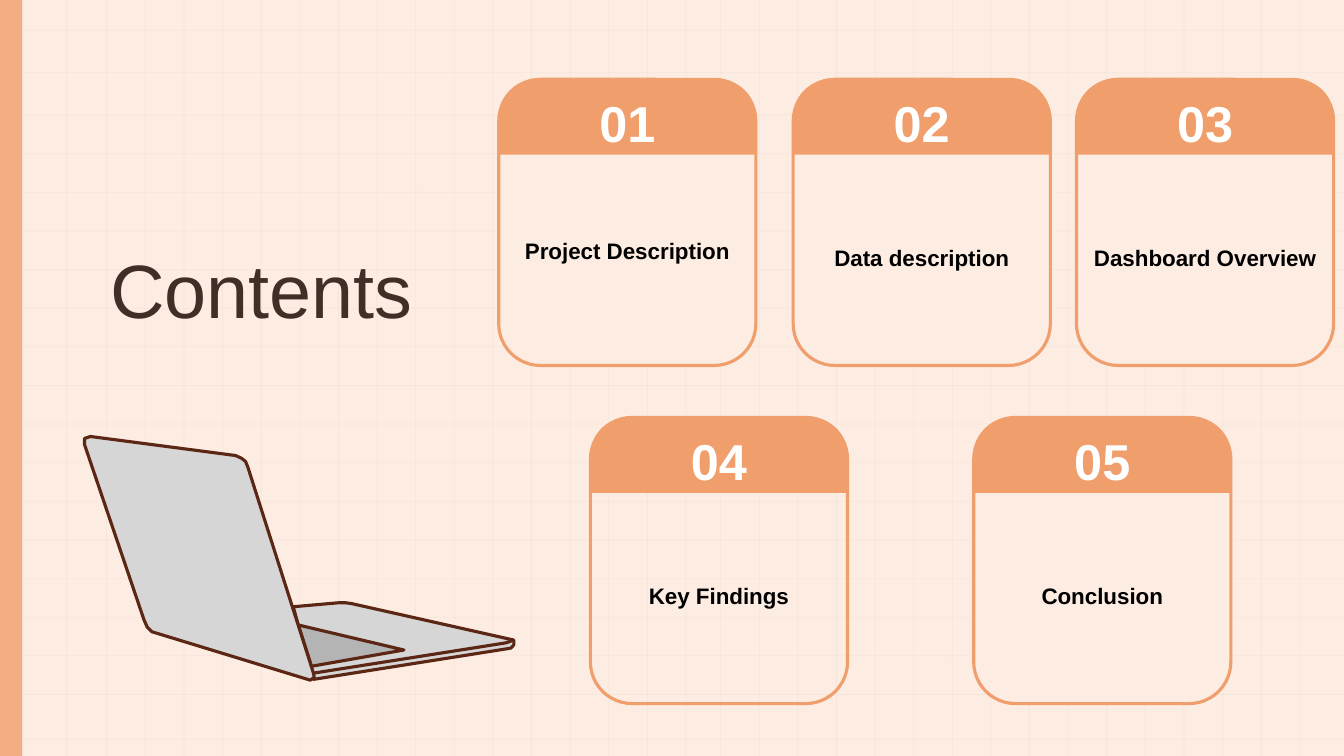
from lxml import etree
from pptx import Presentation
from pptx import util as u
from pptx.dml.color import RGBColor
from pptx.enum import shapes, text
from pptx.oxml.ns import qn

WIDE, HIGH = 33.87, 19.05
CREAM, PEACH, BROWN = "FCECE2", "F09E6B", "5B2714"


def tint(hue):
    return RGBColor.from_string(hue)


def fade(item, share):
    for tone in item._element.spPr.iter(qn("a:srgbClr")):
        etree.SubElement(tone, qn("a:alpha"), val=str(share * 1000))


def paint(item, fill=None, edge=None, width=2.25):
    item.shadow.inherit = False
    if fill:
        item.fill.solid()
        item.fill.fore_color.rgb = tint(fill)
    else:
        item.fill.background()
    if edge:
        item.line.color.rgb = tint(edge)
        item.line.width = u.Pt(width)
    else:
        item.line.fill.background()


def add_block(slide, kind, box, **look):
    item = slide.shapes.add_shape(kind, *map(u.Cm, box))
    paint(item, **look)
    return item


def write(item, words, size, hue, bold=True, inset=0, wrap=True):
    frame = item.text_frame
    frame.word_wrap = wrap
    frame.vertical_anchor = text.MSO_ANCHOR.MIDDLE
    frame.margin_left = frame.margin_right = u.Cm(inset)
    frame.margin_top = frame.margin_bottom = u.Cm(inset / 2)
    para = frame.paragraphs[0]
    para.alignment = text.PP_ALIGN.CENTER
    run = para.add_run()
    run.text = words
    run.font.name, run.font.size, run.font.bold = "Arial", u.Pt(size), bold
    run.font.color.rgb = tint(hue)


def add_text(slide, box, *args, **look):
    write(slide.shapes.add_textbox(*map(u.Cm, box)), *args, **look)


# Backdrop: cream page, faint grid, band on the left
def draw_grid(slide, box):
    left, top, wide, high = box

    def series(start):
        return [start + 14.6 / 15 * i for i in range(16)]

    cols = [1.68, *series(2.69), *series(18.16)]
    rows = [0.76, 1.83, *series(2.9), 18.62]
    ends = [(left + x, top, left + x, top + high) for x in cols]
    ends += [(left, top + y, left + wide, top + y) for y in rows]
    for end in ends:
        rule = slide.shapes.add_connector(
            shapes.MSO_CONNECTOR.STRAIGHT, *map(u.Cm, end))
        rule.line.color.rgb = tint("A47B65")
        rule.line.width = u.Pt(0.5)
        fade(rule, 5)
        etree.SubElement(rule._element.spPr, qn("a:effectLst"))


def draw_back(slide, box):
    left, top, wide, high = box
    slide.background.fill.solid()
    slide.background.fill.fore_color.rgb = tint(CREAM)
    draw_grid(slide, box)
    band = add_block(slide, shapes.MSO_SHAPE.RECTANGLE,
                     (left, top, 0.56, high), fill=PEACH)
    fade(band, 80)


# Laptop: base, front edge, touch pad and lid, from back to front
def draw_laptop(slide, box):
    left, top = box[:2]
    base = [(5.31, 4.32), (6.45, 4.22), (6.63, 4.22), (6.78, 4.24),
            (10.87, 5.16), (10.87, 5.28), (10.8, 5.36), (10.69, 5.38),
            (5.82, 6.15)]
    front = [(5.84, 5.99), (10.67, 5.23), (10.87, 5.16)]
    pad = [(5.44, 4.78), (8.1, 5.41), (5.77, 5.82)]
    lid = [(0.2, 0.03), (3.86, 0.51), (4.01, 0.58), (4.11, 0.66),
           (4.17, 0.81), (5.82, 5.99), (5.84, 6.1), (5.74, 6.17),
           (1.75, 4.95), (1.63, 4.83), (1.55, 4.65), (0.05, 0.23),
           (0.05, 0.08)]
    parts = [(base, "D6D6D6"), (front, None), (pad, "B4B4B4"), (lid, "D6D6D6")]
    for spots, fill in parts:
        spots = [(u.Cm(left + x), u.Cm(top + y)) for x, y in spots]
        pen = slide.shapes.build_freeform(*spots[0])
        pen.add_line_segments(spots[1:], close=fill is not None)
        paint(pen.convert_to_shape(), fill, BROWN)


# Card: round frame, numbered head, label below
def draw_card(slide, box, mark, label, fill=CREAM, lift=0):
    left, top, wide, high = box
    head = 1.9
    frame = add_block(slide, shapes.MSO_SHAPE.ROUNDED_RECTANGLE, box,
                      fill=fill, edge=PEACH)
    frame.adjustments[0] = 0.162
    cap = add_block(slide, shapes.MSO_SHAPE.ROUND_2_SAME_RECTANGLE,
                    (left, top, wide, head), fill=PEACH)
    cap.adjustments[0] = 0.5
    write(cap, mark, 36, "FFFFFF", wrap=False)
    add_text(slide, (left, top + head + 0.03 - lift, wide, 5.13),
             label, 16, "000000")


def draw_cards(slide, box):
    left, top = box[:2]
    low = 8.52
    cards = [
        (0, 0, "Project Description", {"lift": 0.18}),
        (7.42, 0, "Data description", {}),
        (14.56, 0, "Dashboard Overview", {}),
        (2.31, low, "Key Findings", {"fill": None}),
        (11.97, low, "Conclusion", {}),
    ]
    for num, (x, y, label, look) in enumerate(cards, 1):
        draw_card(slide, (left + x, top + y, 6.48, 7.21),
                  f"{num:02}", label, **look)


def main():
    deck = Presentation()
    deck.slide_width, deck.slide_height = u.Cm(WIDE), u.Cm(HIGH)
    slide = deck.slides.add_slide(deck.slide_layouts[6])
    draw_back(slide, (0, 0, WIDE, HIGH))
    draw_laptop(slide, (2.08, 10.97, 10.92, 6.2))
    add_text(slide, (0.76, 5.33, 12.19, 3.89), "Contents ", 54, "402F26",
             bold=False, inset=0.25)
    draw_cards(slide, (12.57, 2, 21.04, 15.73))
    deck.save("out.pptx")


if __name__ == "__main__":
    main()
